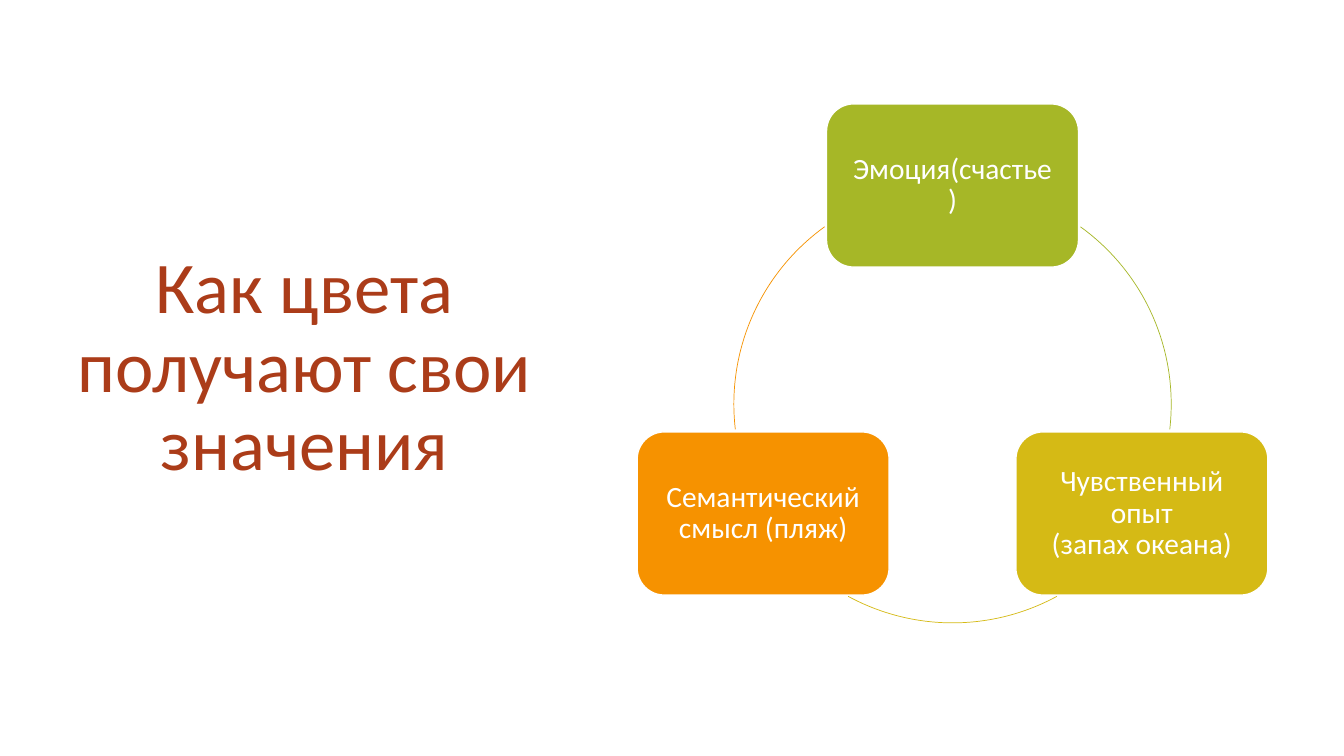
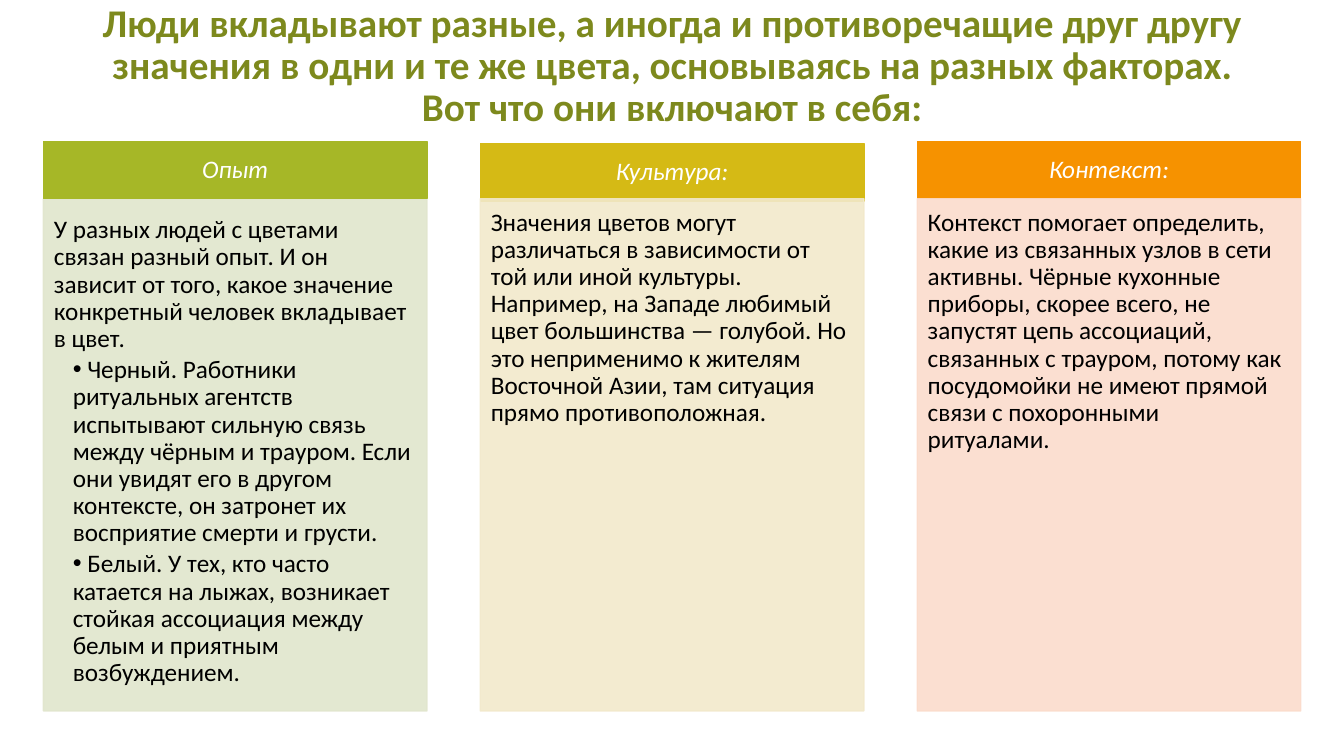
import math

import lxml.etree
import pptx
import pptx.dml.color
import pptx.enum.shapes
import pptx.enum.text
import pptx.oxml.ns
import pptx.util

Pt = pptx.util.Pt
RGBColor = pptx.dml.color.RGBColor
SHAPE = pptx.enum.shapes.MSO_SHAPE
ALIGN = pptx.enum.text.PP_ALIGN
ANCHOR = pptx.enum.text.MSO_ANCHOR
qn = pptx.oxml.ns.qn

# Shared colours and text formats
WHITE = RGBColor(0xFF, 0xFF, 0xFF)
BLACK = RGBColor(0x00, 0x00, 0x00)
GREEN = RGBColor(0xA6, 0xB7, 0x27)
YELLOW = RGBColor(0xD5, 0xBA, 0x15)
ORANGE = RGBColor(0xF6, 0x92, 0x00)
PALE_GREEN = RGBColor(0xE1, 0xE6, 0xCD)
PALE_YELLOW = RGBColor(0xF2, 0xE9, 0xCB)
PALE_ORANGE = RGBColor(0xFB, 0xDC, 0xCC)
RUST = RGBColor(0xAB, 0x3C, 0x19)
OLIVE = RGBColor(0x7D, 0x89, 0x1D)

FONT = "Calibri"
NODE_FONT = {"name": FONT, "size": Pt(21)}
HEAD_FONT = {"name": FONT, "size": Pt(18), "italic": True}
BODY_FONT = {"name": FONT, "size": Pt(18)}
CENTRED = {"alignment": ALIGN.CENTER, "line_spacing": 0.9}
BODY_PARA = {"alignment": ALIGN.LEFT, "line_spacing": 0.9,
             "space_before": Pt(0), "space_after": Pt(2.7)}

# Slide content
CYCLE_NODES = [  # text, colour, angle of the node, start and end of the next arc
    ("Эмоция(счастье)", GREEN, 270, 305.8, 6.6),
    ("Чувственный опыт\v(запах океана)", YELLOW, 30, 61.5, 118.5),
    ("Семантический смысл (пляж)", ORANGE, 150, 173.4, 234.2),
]
COLUMNS = [  # heading, drop of the heading, colours, introduction, bullets
    ("Опыт", 0, GREEN, PALE_GREEN,
     "У разных людей с цветами связан разный опыт. И он зависит от того, "
     "какое значение конкретный человек вкладывает в цвет.",
     [" Черный. Работники ритуальных агентств испытывают сильную связь между "
      "чёрным и трауром. Если они увидят его в другом контексте, он затронет "
      "их восприятие смерти и грусти.",
      " Белый. У тех, кто часто катается на лыжах, возникает стойкая "
      "ассоциация между белым и приятным возбуждением."]),
    ("Культура:", 1.5, YELLOW, PALE_YELLOW,
     "Значения цветов могут различаться в зависимости от той или иной "
     "культуры. Например, на Западе любимый цвет большинства — голубой. Но это "
     "неприменимо к жителям Восточной Азии, там ситуация прямо "
     "противоположная.", []),
    ("Контекст:", 0, ORANGE, PALE_ORANGE,
     "Контекст помогает определить, какие из связанных узлов в сети активны. "
     "Чёрные кухонные приборы, скорее всего, не запустят цепь ассоциаций, "
     "связанных с трауром, потому как посудомойки не имеют прямой связи с "
     "похоронными ритуалами.", []),
]


def apply(target, values):
    for name, value in values.items():
        setattr(target, name, value)


def place(shape, box):
    apply(shape, dict(zip(("left", "top", "width", "height"), map(Pt, box))))


def write(para, text, para_format, font_format, colour):
    para.text = text
    apply(para, para_format)
    for span in para.runs:
        apply(span.font, font_format)
        span.font.color.rgb = colour


def set_frame(shape, anchor, insets):
    names = ("margin_left", "margin_top", "margin_right", "margin_bottom")
    frame = shape.text_frame
    apply(frame, {"word_wrap": True, "vertical_anchor": anchor,
                  "auto_size": pptx.enum.text.MSO_AUTO_SIZE.NONE})
    apply(frame, dict(zip(names, map(Pt, insets))))
    return frame


def paint(shape, fill, line, width=1):
    if fill is None:
        shape.fill.background()
    else:
        shape.fill.solid()
        shape.fill.fore_color.rgb = fill
    shape.line.color.rgb = line
    shape.line.width = Pt(width)


def add_shape(page, kind, box, fill, line, width=1):
    shape = page.shapes.add_shape(kind, *map(Pt, box))
    shape.shadow.inherit = False
    paint(shape, fill, line, width)
    return shape


def set_opacity(shape, percent):
    for colour in shape._element.spPr.iter(qn("a:srgbClr")):
        alpha = lxml.etree.SubElement(colour, qn("a:alpha"))
        alpha.set("val", str(percent * 1000))


def set_bullet(para, bulleted):
    properties = para._p.get_or_add_pPr()
    properties.set("marL", str(Pt(13.5 if bulleted else 0)))
    properties.set("indent", "0")
    if bulleted:
        lxml.etree.SubElement(properties, qn("a:buChar")).set("char", "•")
    else:
        lxml.etree.SubElement(properties, qn("a:buNone"))


def set_title(page, box, text, size, colour, bold=False):
    title = page.shapes.title
    place(title, box)
    frame = set_frame(title, ANCHOR.MIDDLE, (7.2, 3.6, 7.2, 3.6))
    font = {"name": FONT, "size": Pt(size), "bold": bold}
    write(frame.paragraphs[0], text, CENTRED, font, colour)


def add_cycle(page, box):
    """Three nodes on a circle, joined by arcs; box bounds the circle."""
    left, top, side, _ = box
    radius = side / 2
    node_width, node_height = 180, 116.6
    for text, colour, angle, start, end in CYCLE_NODES:
        centre_x = left + radius * (1 + math.cos(math.radians(angle)))
        centre_y = top + radius * (1 + math.sin(math.radians(angle)))
        node_box = (centre_x - node_width / 2, centre_y - node_height / 2,
                    node_width, node_height)
        node = add_shape(page, SHAPE.ROUNDED_RECTANGLE, node_box, colour, WHITE)
        frame = set_frame(node, ANCHOR.MIDDLE, (12, 12, 12, 12))
        write(frame.paragraphs[0], text, CENTRED, NODE_FONT, WHITE)

        # Arc angles are stored in 60000ths of a degree, adjustments in 100000ths
        arc = add_shape(page, SHAPE.ARC, box, None, colour, 0.5)
        for index, degrees in enumerate((start, end)):
            arc.adjustments[index] = degrees * 0.6


def add_column(page, box, column):
    """A coloured heading above a pale text panel."""
    heading, drop, colour, pale, introduction, bullets = column
    left, top, width, height = box
    head_height = 41

    # Heading
    head_box = (left, top + drop, width, head_height)
    head = add_shape(page, SHAPE.RECTANGLE, head_box, colour, colour)
    frame = set_frame(head, ANCHOR.MIDDLE, (10, 5.8, 10, 5.8))
    write(frame.paragraphs[0], heading, CENTRED, HEAD_FONT, WHITE)

    # Panel: the list sits in the body placeholder
    panel_box = (left, top + head_height, width, height - head_height)
    if bullets:
        panel = page.placeholders[1]
        place(panel, panel_box)
        paint(panel, pale, pale)
    else:
        panel = add_shape(page, SHAPE.RECTANGLE, panel_box, pale, pale)
    set_opacity(panel, 90)
    anchor = ANCHOR.MIDDLE if bullets else ANCHOR.TOP
    frame = set_frame(panel, anchor, (7.5, 7.5, 10, 11.5))
    for index, text in enumerate([introduction] + bullets):
        para = frame.add_paragraph() if index else frame.paragraphs[0]
        set_bullet(para, index > 0)
        write(para, text, BODY_PARA, BODY_FONT, BLACK)


def build_cycle_page(deck):
    page = deck.slides.add_slide(deck.slide_layouts[5])
    set_title(page, (34, 44, 367, 438.5), "Как цвета получают свои значения",
              52, RUST)
    add_cycle(page, (524.2, 132.5, 312.4, 312.4))


def build_columns_page(deck):
    page = deck.slides.add_slide(deck.slide_layouts[1])
    set_title(page, (65, 15, 830, 65.5),
              "Люди вкладывают разные, а иногда и противоречащие друг другу "
              "значения в одни и те же цвета, основываясь на разных факторах. "
              "Вот что они включают в себя:", 28, OLIVE, bold=True)
    for index, column in enumerate(COLUMNS):
        add_column(page, (31 + 312.1 * index, 101, 274, 406.8), column)


def main():
    deck = pptx.Presentation()
    deck.slide_width, deck.slide_height = Pt(960), Pt(540)
    build_cycle_page(deck)
    build_columns_page(deck)
    deck.save("out.pptx")


if __name__ == "__main__":
    main()
